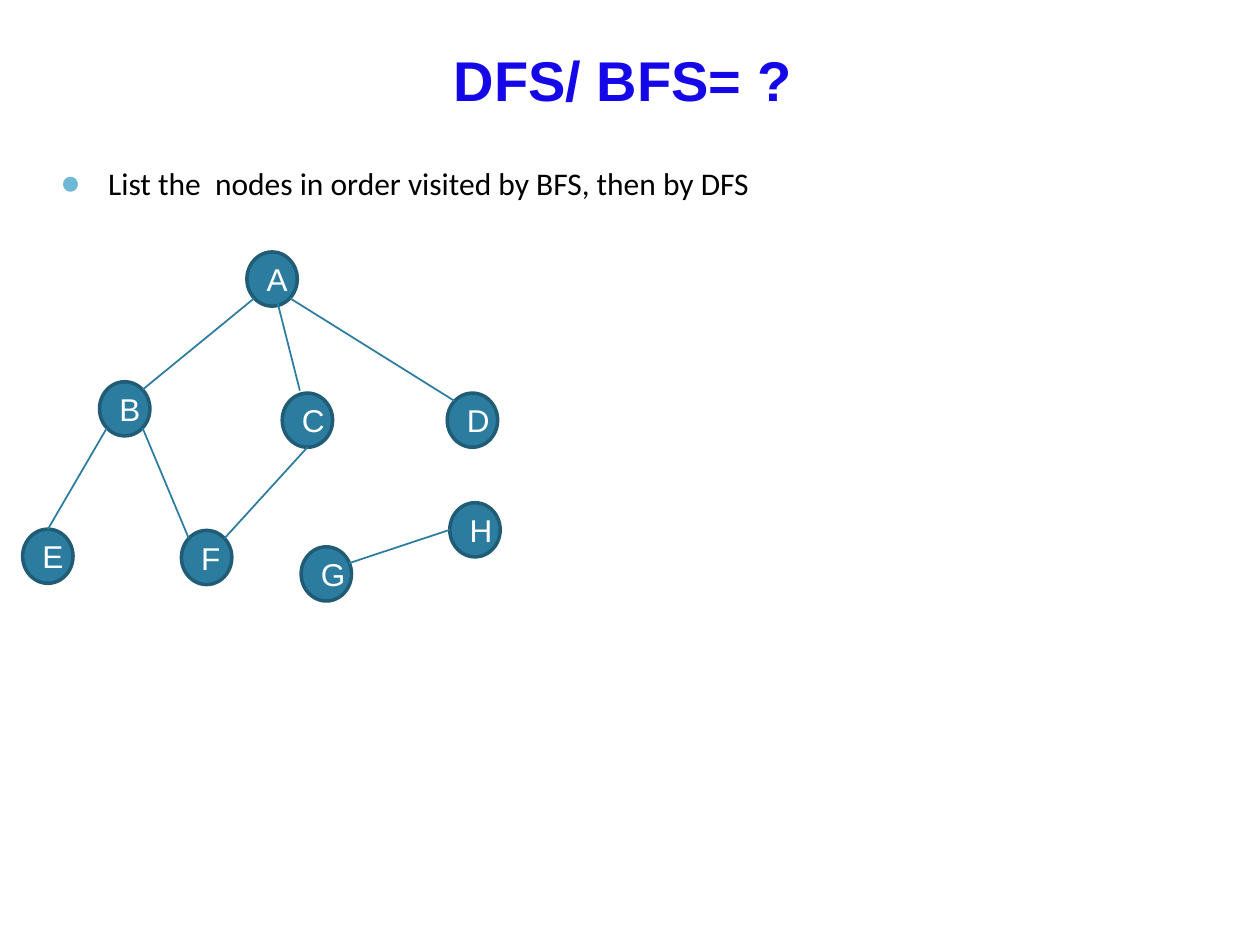
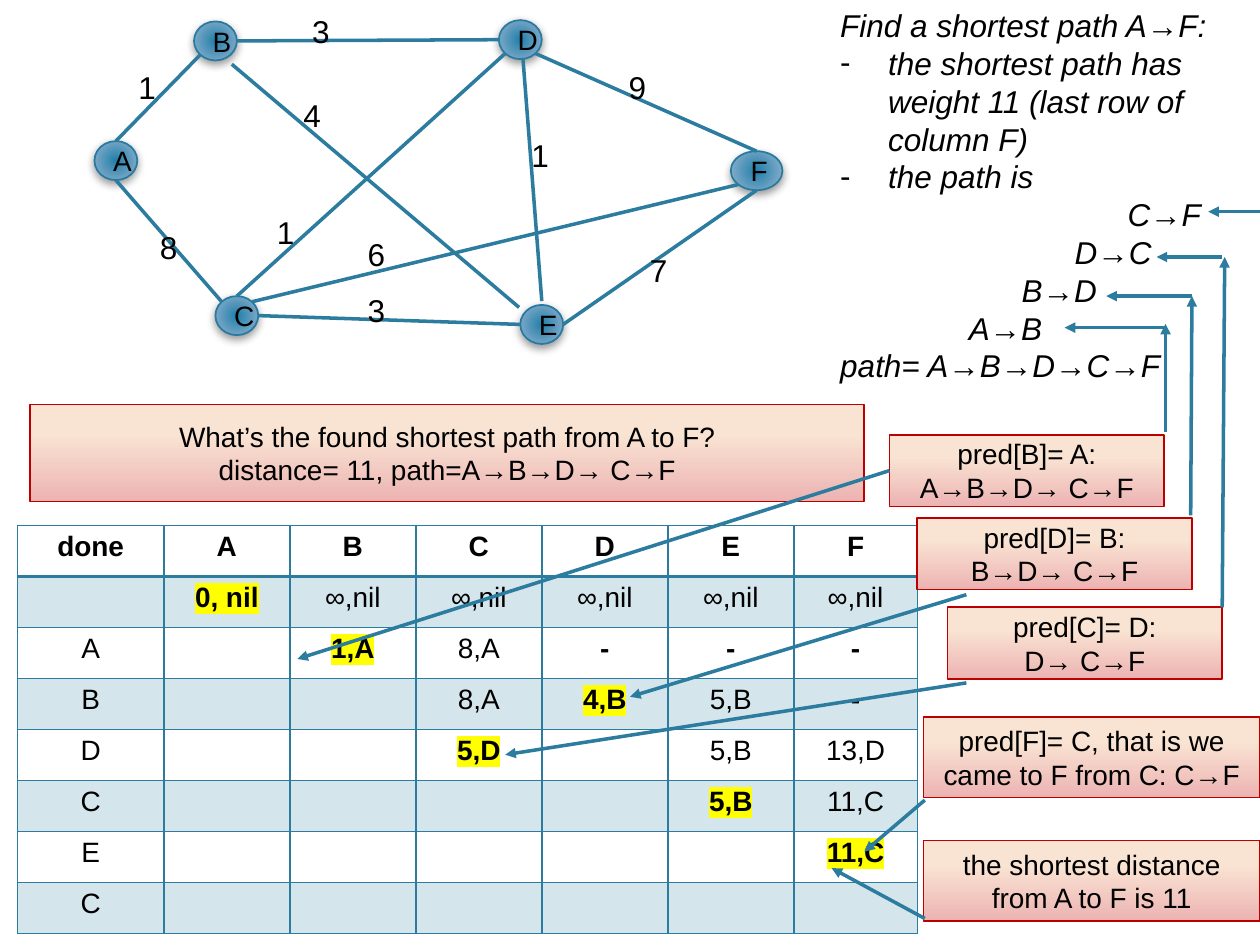
"""Build two slides on graph traversal and shortest paths."""
from dataclasses import dataclass
from typing import Any, NamedTuple, Optional, Union

import pptx
import pptx.dml.color
import pptx.enum.dml
import pptx.enum.shapes
import pptx.enum.text
import pptx.oxml
import pptx.util

COLUMNS, ROWS = 100, 75
WIDTH, HEIGHT = pptx.util.Inches(10), pptx.util.Inches(7.5)
TEAL, DARK_TEAL, NODE_RIM = "2C7C9F", "215C76", "287A9E"
BLACK, WHITE, BLUE, RED, YELLOW = "000000", "FFFFFF", "1507E7", "BC0000", "FFFF00"
BAND = "D5E5EC"
PEACH, ROSE = "F9E3D2", "ECB3B3"
GLOW = ((0, "2180AA"), (69, "75A5C5"), (100, "B8CCDC"))
NAMESPACE = 'xmlns:a="http://schemas.openxmlformats.org/drawingml/2006/main"'
CENTER = pptx.enum.text.PP_ALIGN.CENTER
MIDDLE = pptx.enum.text.MSO_ANCHOR.MIDDLE
SHAPES = pptx.enum.shapes.MSO_SHAPE
DIAGONAL = 0.146
SITES = {
    "t": (0.5, 0), "b": (0.5, 1), "l": (0, 0.5), "r": (1, 0.5),
    "tl": (DIAGONAL, DIAGONAL), "tr": (1 - DIAGONAL, DIAGONAL),
    "bl": (DIAGONAL, 1 - DIAGONAL), "br": (1 - DIAGONAL, 1 - DIAGONAL),
}


class Area(NamedTuple):
    column: float
    row: float
    width: float
    height: float


class Point(NamedTuple):
    column: float
    row: float


End = Union[str, Point]


class Edge(NamedTuple):
    start: End
    end: End


class Weight(NamedTuple):
    text: str
    column: float
    row: float


@dataclass(frozen=True)
class Callout:
    area: Area
    lines: tuple[str, ...]


@dataclass(frozen=True)
class NodeStyle:
    rim: str
    rim_width: float
    ink: str
    size: float
    glowing: bool


TREE_STYLE = NodeStyle(DARK_TEAL, 2, WHITE, 18, False)
TREE_SPOTS = {
    "B": (7.9, 30.3), "D": (35.5, 31.2), "A": (19.6, 20), "C": (22.4, 31.2),
    "F": (14.4, 42.1), "E": (1.8, 42), "G": (23.9, 43.4), "H": (35.7, 39.9),
}
TREE_NODES = {name: Area(*spot, 4, 4.3) for name, spot in TREE_SPOTS.items()}
TREE_EDGES = (
    Edge(Point(21.9, 23.5), Point(23.8, 31)), Edge("D.tl", "A.br"),
    Edge("A.bl", "B.tr"), Edge("B.bl", "E.t"), Edge("C.b", "F.tr"),
    Edge("B.br", "F.tl"), Edge("H.l", Point(27.7, 44.7)),
)

GRAPH_STYLE = NodeStyle(NODE_RIM, 1, BLACK, 16, True)
GRAPH_NODES = {
    "B": Area(15.4, 1.7, 3.4, 3.1), "D": Area(39.6, 1.6, 3.4, 3.1),
    "F": Area(58, 12, 4.1, 3.1), "A": Area(7.5, 11.2, 3.4, 3.1),
    "E": Area(41.3, 24.2, 3.4, 3.1), "C": Area(17.1, 23.5, 3.4, 3.1),
}
GRAPH_EDGES = (
    Edge("B.r", "D.l"), Edge(Point(18.4, 5.1), Point(41.2, 24.4)),
    Edge("B.bl", "A.t"), Edge("A.b", "C.tl"), Edge("D.br", "F.t"),
    Edge("C.t", "D.bl"), Edge("C.r", "E.l"), Edge("F.bl", "C.tr"),
    Edge("F.b", "E.r"), Edge(Point(41.5, 4.6), Point(43, 23.9)),
)
WEIGHTS = (
    Weight("3", 23.8, 0.5), Weight("9", 48.9, 4.9), Weight("1", 10, 4.9),
    Weight("6", 28.2, 18.2), Weight("8", 11.7, 17.6), Weight("4", 23.1, 7.1),
    Weight("7", 50.6, 19.4), Weight("1", 21, 16.4), Weight("1", 41.2, 10.3),
    Weight("3", 28.2, 22.6),
)

STEPS = (
    ("done", "A", "B", "C", "D", "E", "F"),
    ("", "0, nil", "∞,nil", "∞,nil", "∞,nil", "∞,nil", "∞,nil"),
    ("A", "", "1,A", "8,A", "-", "-", "-"),
    ("B", "", "", "8,A", "4,B", "5,B", "-"),
    ("D", "", "", "5,D", "", "5,B", "13,D"),
    ("C", "", "", "", "", "5,B", "11,C"),
    ("E", "", "", "", "", "", "11,C"),
    ("C", "", "", "", "", "", ""),
)
SETTLED = {(1, 1), (2, 2), (3, 4), (4, 3), (5, 5), (6, 6)}
STEP_WIDTHS = (11.6, 10, 10, 10, 10, 10, 9.8)
STEP_HEIGHT = 4.05

CALLOUTS = {
    "answer": Callout(Area(2.4, 32.1, 66.2, 7.7), (
        "What’s the found shortest path from A to F?",
        "distance= 11, path=A→B→D→ C→F")),
    "F": Callout(Area(73.3, 56.9, 26.7, 6.4),
                 ("pred[F]= C, that is we came to F from C: C→F",)),
    "C": Callout(Area(75.2, 48.2, 21.8, 5.7), ("pred[C]= D:", "D→ C→F")),
    "D": Callout(Area(72.8, 41.1, 21.8, 5.7), ("pred[D]= B:", "B→D→ C→F")),
    "B": Callout(Area(70.6, 34.5, 21.8, 5.7), ("pred[B]= A:", "A→B→D→ C→F")),
    "distance": Callout(Area(73.3, 66.7, 26.7, 6.4),
                        ("the shortest distance from A to F is 11",)),
}
ARROWS = (
    Edge(Point(76.7, 54.2), Point(40.1, 59.9)), Edge(Point(73.4, 63.5), Point(68.6, 67.6)),
    Edge(Point(76.7, 47.2), Point(50, 55.3)), Edge(Point(73.4, 72.9), Point(66, 68.9)),
    Edge(Point(97, 48.2), Point(97.2, 20.4)), Edge(Point(94.5, 40.9), Point(94.6, 23.5)),
    Edge(Point(92.5, 34.3), Point(92.5, 25.7)), Edge(Point(100, 16.8), Point(95.9, 16.8)),
    Edge(Point(97, 20.4), Point(91.8, 20.4)), Edge(Point(94.6, 23.5), Point(87.8, 23.5)),
    Edge(Point(92.5, 26), Point(84.5, 26)),
)


def across(columns: float) -> int:
    """Turn grid columns into a length."""
    return round(WIDTH * columns / COLUMNS)


def down(rows: float) -> int:
    """Turn grid rows into a length."""
    return round(HEIGHT * rows / ROWS)


def place(area: Area) -> tuple[int, int, int, int]:
    """Turn a grid area into left, top, width and height."""
    return across(area.column), down(area.row), across(area.width), down(area.height)


def color(value: str) -> pptx.dml.color.RGBColor:
    """Turn a hex string into a colour."""
    return pptx.dml.color.RGBColor.from_string(value)


def element(markup: str) -> Any:
    """Read one drawing element whose tag is left open for its namespace."""
    return pptx.oxml.parse_xml(markup.replace(" ns", " " + NAMESPACE, 1))


def write(para: Any, text: str, size: float, ink: str = BLACK, face: str = "Arial",
          bold: bool = False, italic: bool = False) -> Any:
    """Add one formatted run to a paragraph."""
    span = para.add_run()
    span.text = text
    span.font.size = pptx.util.Pt(size)
    span.font.name = face
    span.font.bold = bold
    span.font.italic = italic
    span.font.color.rgb = color(ink)
    return span


def next_para(frame: Any, index: int) -> Any:
    """Give the first paragraph of a frame, or a new one after it."""
    return frame.paragraphs[0] if index == 0 else frame.add_paragraph()


def indent(para: Any, columns: float, bullet: str = "", tint: Optional[str] = None) -> None:
    """Indent a paragraph, hanging a bullet in the indent if one is given."""
    properties = para._p.get_or_add_pPr()
    properties.set("marL", str(across(columns)))
    properties.set("indent", str(-across(columns) if bullet else 0))
    if tint:
        properties.append(element(f'<a:buClr ns><a:srgbClr val="{tint}"/></a:buClr>'))
        properties.append(element('<a:buSzPct ns val="110000"/>'))
    if bullet:
        properties.append(element('<a:buFont ns typeface="Arial"/>'))
        properties.append(element(f'<a:buChar ns char="{bullet}"/>'))


def add_text(page: Any, area: Area, wrap: bool = True) -> Any:
    """Add a text box and return its frame."""
    frame = page.shapes.add_textbox(*place(area)).text_frame
    frame.word_wrap = wrap
    return frame


def make_glow(node: Any) -> None:
    """Give a node a radial gradient and a soft shadow."""
    stops = "".join(f'<a:gs pos="{at * 1000}"><a:srgbClr val="{tint}"/></a:gs>'
                    for at, tint in GLOW)
    properties = node._element.spPr
    properties.prstGeom.addnext(element(
        f'<a:gradFill ns><a:gsLst>{stops}</a:gsLst><a:path path="circle">'
        '<a:fillToRect l="50000" t="50000" r="50000" b="50000"/></a:path></a:gradFill>'))
    properties[-1].append(element(
        '<a:outerShdw ns blurRad="63500" dist="25400" dir="5400000" rotWithShape="0">'
        f'<a:srgbClr val="{BLACK}"><a:alpha val="40000"/></a:srgbClr></a:outerShdw>'))


def add_node(page: Any, name: str, area: Area, style: NodeStyle) -> None:
    """Draw one named graph node."""
    node = page.shapes.add_shape(SHAPES.OVAL, *place(area))
    node.line.color.rgb = color(style.rim)
    node.line.width = pptx.util.Pt(style.rim_width)
    node.shadow.inherit = False
    if style.glowing:
        make_glow(node)
    else:
        node.fill.solid()
        node.fill.fore_color.rgb = color(TEAL)
    node.text_frame.vertical_anchor = MIDDLE
    para = node.text_frame.paragraphs[0]
    para.alignment = CENTER
    write(para, name, style.size, style.ink)


def locate(end: End, nodes: dict[str, Area]) -> Point:
    """Find an edge end given as a point or as a node and its site."""
    if isinstance(end, Point):
        return end
    name, site = end.split(".")
    area, share = nodes[name], SITES[site]
    return Point(area.column + share[0] * area.width, area.row + share[1] * area.height)


def add_line(page: Any, start: Point, end: Point, width: float, arrow: bool = False) -> Any:
    """Draw a straight line, with an arrowhead at its end if asked."""
    line = page.shapes.add_connector(
        pptx.enum.shapes.MSO_CONNECTOR.STRAIGHT,
        across(start.column), down(start.row), across(end.column), down(end.row))
    line.line.color.rgb = color(TEAL)
    line.line.width = pptx.util.Pt(width)
    if arrow:
        line.line._get_or_add_ln().append(element('<a:tailEnd ns type="triangle"/>'))
    line._element.spPr.append(element("<a:effectLst ns/>"))
    return line


def add_graph(page: Any, nodes: dict[str, Area], edges: tuple[Edge, ...],
              style: NodeStyle, width: float) -> None:
    """Draw the nodes of a graph and the edges between them."""
    for name, area in nodes.items():
        add_node(page, name, area, style)
    for edge in edges:
        add_line(page, locate(edge.start, nodes), locate(edge.end, nodes), width)


def add_callout(page: Any, callout: Callout) -> Any:
    """Draw one shaded callout."""
    box = page.shapes.add_shape(SHAPES.RECTANGLE, *place(callout.area))
    box.shadow.inherit = False
    box.fill.gradient()
    box.fill.gradient_angle = 270
    for stop, (at, tint) in zip(box.fill.gradient_stops, ((0.31, PEACH), (1, ROSE))):
        stop.position = at
        stop.color.rgb = color(tint)
    box.line.color.rgb = color(RED)
    box.line.width = pptx.util.Pt(1)
    box.text_frame.vertical_anchor = MIDDLE
    for index, text in enumerate(callout.lines):
        para = next_para(box.text_frame, index)
        para.alignment = CENTER
        write(para, text, 16)
    return box


def add_borders(cell: Any, header: bool) -> None:
    """Rule the four sides of a cell, heavier below the header."""
    properties = cell._tc.get_or_add_tcPr()
    for index, side in enumerate("LRTB"):
        width = pptx.util.Pt(2 if header and side == "B" else 1)
        properties.insert(index, element(
            f'<a:ln{side} ns w="{width}"><a:solidFill><a:srgbClr val="{TEAL}"/>'
            f'</a:solidFill></a:ln{side}>'))


def add_steps(page: Any) -> None:
    """Draw the table of search steps."""
    area = Area(1.4, 41.7, sum(STEP_WIDTHS), STEP_HEIGHT * len(STEPS))
    table = page.shapes.add_table(len(STEPS), len(STEP_WIDTHS), *place(area)).table
    table.first_row = table.horz_banding = False
    for column, width in zip(table.columns, STEP_WIDTHS):
        column.width = across(width)
    for row, texts in enumerate(STEPS):
        table.rows[row].height = down(STEP_HEIGHT)
        for column, text in enumerate(texts):
            cell = table.cell(row, column)
            cell.fill.solid()
            cell.fill.fore_color.rgb = color(BAND if row % 2 else WHITE)
            add_borders(cell, row == 0)
            if not text:
                continue
            settled = (row, column) in SETTLED
            para = cell.text_frame.paragraphs[0]
            para.alignment = CENTER
            span = write(para, text, 16, bold=settled or row == 0 or text == "-")
            if settled:
                span._r.get_or_add_rPr()[0].addnext(element(
                    f'<a:highlight ns><a:srgbClr val="{YELLOW}"/></a:highlight>'))


def add_explanation(page: Any) -> None:
    """Write how the path is traced back, each hop indented less."""
    hops = ((text, 22.8 - 4.2 * index, "")
            for index, text in enumerate(("C→F", "D→C", "B→D", "A→B")))
    lines = (
        ("Find a shortest path A→F:", 0, ""),
        ("the shortest path has weight 11 (last row of column F)", 3.8, "-"),
        ("the path is", 3.8, "-"),
        *hops,
        ("path= A→B→D→C→F", 0, ""),
    )
    frame = add_text(page, Area(65.7, 0, 32.9, 31.6))
    for index, (text, columns, bullet) in enumerate(lines):
        para = next_para(frame, index)
        indent(para, columns, bullet)
        write(para, text, 18, italic=True)


def build_traversal(deck: Any) -> None:
    """Build the slide that asks for the traversal orders."""
    page = deck.slides.add_slide(deck.slide_layouts[5])
    title = page.shapes.title
    title.left, title.top, title.width, title.height = place(Area(2.9, 1.2, 94.3, 10.1))
    title.text_frame.vertical_anchor = MIDDLE
    heading = title.text_frame.paragraphs[0]
    heading.alignment = CENTER
    write(heading, "DFS/ BFS= ? ", 32, BLUE, bold=True)
    task = add_text(page, Area(3.8, 12.5, 93, 54.5)).paragraphs[0]
    indent(task, 3.8, "●", "6FB7D7")
    write(task, "List the  nodes in order visited by BFS, then by DFS", 18, face="Calibri")
    add_graph(page, TREE_NODES, TREE_EDGES, TREE_STYLE, 1)


def build_shortest_path(deck: Any) -> None:
    """Build the slide that traces the shortest path."""
    page = deck.slides.add_slide(deck.slide_layouts[6])
    add_graph(page, GRAPH_NODES, GRAPH_EDGES, GRAPH_STYLE, 2)
    for weight in WEIGHTS:
        frame = add_text(page, Area(weight.column, weight.row, 3.4, 4), wrap=False)
        write(frame.paragraphs[0], weight.text, 18)
    add_steps(page)
    add_explanation(page)
    boxes = {name: add_callout(page, callout) for name, callout in CALLOUTS.items()}
    for arrow in ARROWS:
        add_line(page, arrow.start, arrow.end, 2, arrow=True)
    first_hop = add_line(page, Point(70.6, 37.4), Point(23.6, 52.3), 2, arrow=True)
    first_hop.begin_connect(boxes["B"], 1)


def main() -> None:
    """Build and save the deck."""
    deck = pptx.Presentation()
    deck.slide_width, deck.slide_height = WIDTH, HEIGHT
    build_traversal(deck)
    build_shortest_path(deck)
    deck.save("out.pptx")


if __name__ == "__main__":
    main()
